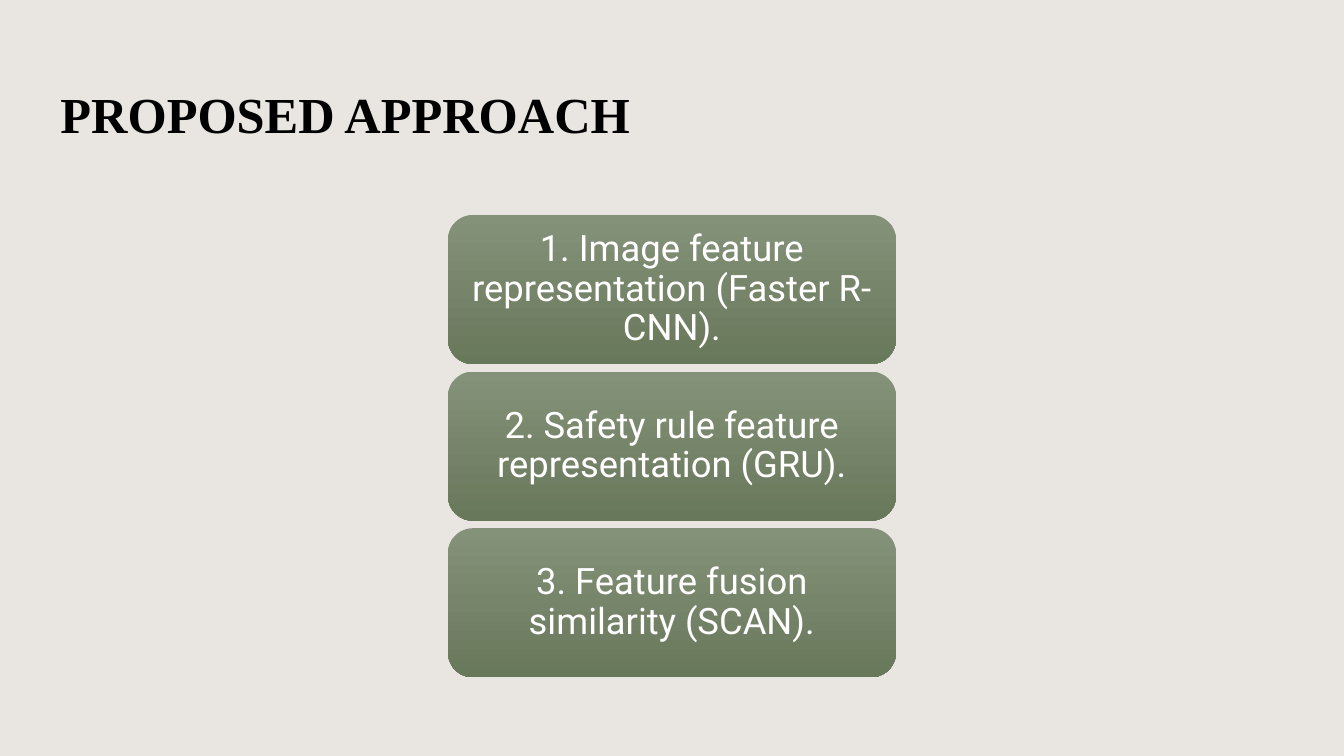
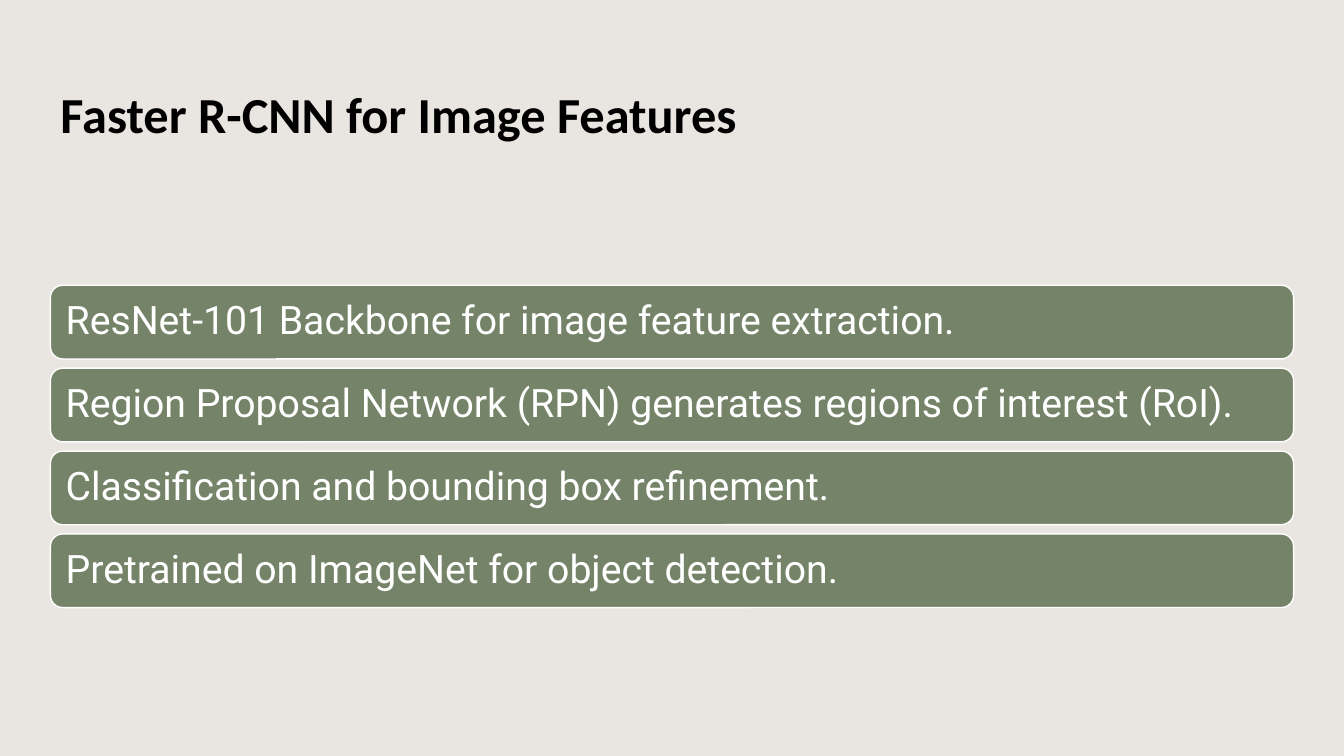
from dataclasses import dataclass

from pptx import Presentation
from pptx.dml.color import RGBColor
from pptx.enum.shapes import MSO_SHAPE
from pptx.enum.text import MSO_ANCHOR, MSO_AUTO_SIZE, PP_ALIGN
from pptx.util import Pt

ROUND = MSO_SHAPE.ROUNDED_RECTANGLE
MIDDLE = MSO_ANCHOR.MIDDLE
LEFT, CENTER = PP_ALIGN.LEFT, PP_ALIGN.CENTER
FIXED = MSO_AUTO_SIZE.NONE

COLORS = {
    "back": "E9E5E1",
    "title": "000000",
    "text": "FFFFFF",
    "edge": "FFFFFF",
    "green": "758468",
    "light": "85927A",
    "dark": "68785A",
}


@dataclass(frozen=True)
class Stack:
    """A column of equal rounded boxes, in points."""
    left: float
    top: float
    width: float
    height: float
    gap: float
    size: float
    pad_x: float
    pad_y: float
    align: PP_ALIGN
    shaded: bool


@dataclass(frozen=True)
class Page:
    title: str
    font: str
    stack: Stack
    items: tuple[str, ...]


STEPS = Stack(320, 153.5, 320, 106.5, 5.4, 26, 8, 3.6, CENTER, True)
ROWS = Stack(36, 203.8, 888, 52.6, 6.6, 28, 8.4, 8.4, LEFT, False)

PAGES = (
    Page("PROPOSED APPROACH", "Times New Roman", STEPS, (
        "1. Image feature representation (Faster R-CNN).",
        "2. Safety rule feature representation (GRU).",
        "3. Feature fusion similarity (SCAN).",
    )),
    Page("Faster R-CNN for Image Features", "Calibri", ROWS, (
        "ResNet-101 Backbone for image feature extraction.",
        "Region Proposal Network (RPN) generates regions of interest (RoI).",
        "Classification and bounding box refinement.",
        "Pretrained on ImageNet for object detection.",
    )),
)


def color(name: str) -> RGBColor:
    return RGBColor.from_string(COLORS[name])


def add_run(para, text: str, font: str, size: float, tone: str,
            bold: bool = False) -> None:
    run = para.add_run()
    run.text = text
    run.font.name = font
    run.font.size = Pt(size)
    run.font.bold = bold
    run.font.color.rgb = color(tone)


def add_title(slide, text: str, font: str) -> None:
    frame = slide.shapes.title.text_frame
    frame.auto_size = FIXED
    frame.vertical_anchor = MIDDLE
    para = frame.paragraphs[0]
    para.alignment = LEFT
    add_run(para, text, font, 36, "title", True)


def paint(box, shaded: bool) -> None:
    box.shadow.inherit = False
    if shaded:
        box.fill.gradient()
        box.fill.gradient_angle = 270
        for stop, tone in zip(box.fill.gradient_stops, ("light", "dark")):
            stop.color.rgb = color(tone)
        box.line.fill.background()
    else:
        box.fill.solid()
        box.fill.fore_color.rgb = color("green")
        box.line.color.rgb = color("edge")
        box.line.width = Pt(1)


def add_stack(slide, stack: Stack, items: tuple[str, ...]) -> None:
    for i, item in enumerate(items):
        top = stack.top + i * (stack.height + stack.gap)
        box = slide.shapes.add_shape(ROUND, Pt(stack.left), Pt(top),
                                     Pt(stack.width), Pt(stack.height))
        paint(box, stack.shaded)
        frame = box.text_frame
        frame.word_wrap = True
        frame.vertical_anchor = MIDDLE
        frame.margin_left = frame.margin_right = Pt(stack.pad_x)
        frame.margin_top = frame.margin_bottom = Pt(stack.pad_y)
        para = frame.paragraphs[0]
        para.alignment = stack.align
        para.line_spacing = 0.9
        add_run(para, item, "Roboto", stack.size, "text")


def main() -> None:
    deck = Presentation()
    deck.slide_width, deck.slide_height = Pt(960), Pt(540)

    # Shared background and title place
    back = deck.slide_master.background.fill
    back.solid()
    back.fore_color.rgb = color("back")
    layout = deck.slide_layouts.get_by_name("Title Only")
    head = layout.placeholders[0]
    head.left, head.top = Pt(36), Pt(28.8)
    head.width, head.height = Pt(858), Pt(104.4)

    # Slides
    for page in PAGES:
        slide = deck.slides.add_slide(layout)
        add_title(slide, page.title, page.font)
        add_stack(slide, page.stack, page.items)

    deck.save("out.pptx")


if __name__ == "__main__":
    main()
